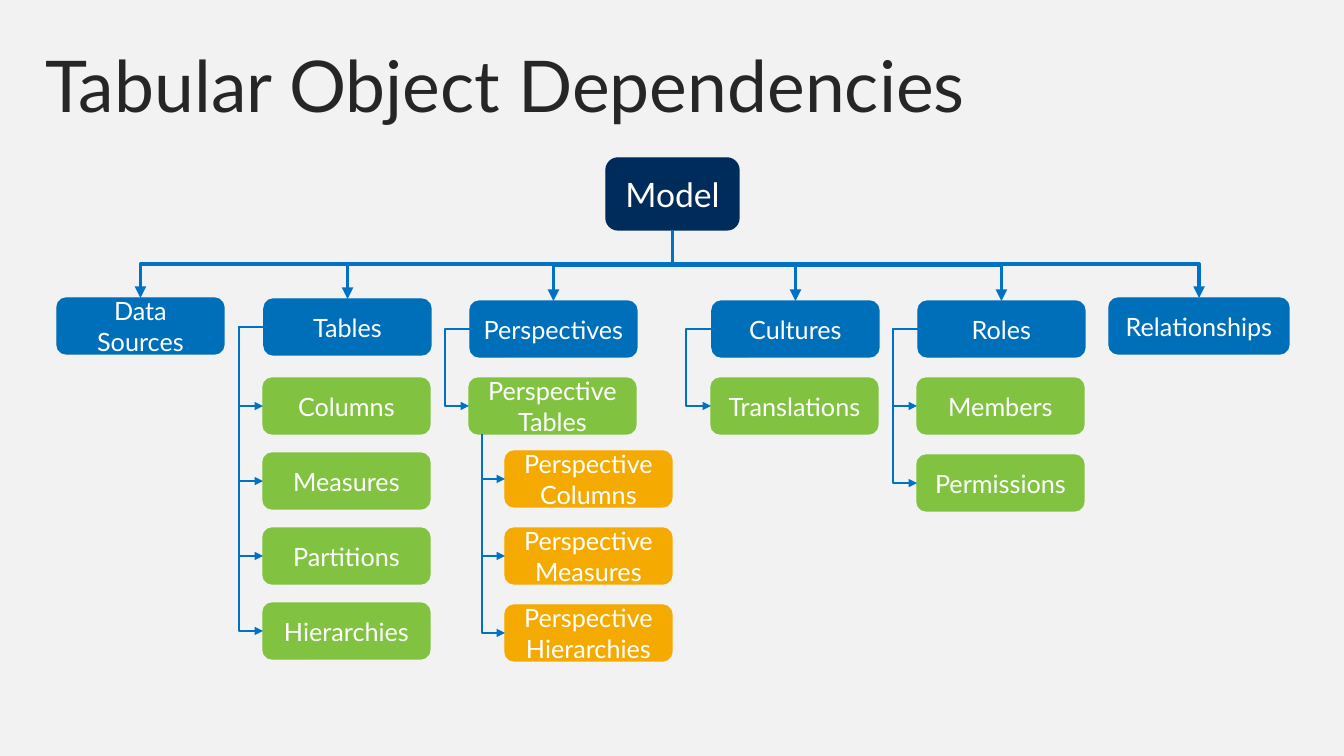
import pptx
import pptx.dml.color
import pptx.enum.shapes
import pptx.enum.text
import pptx.oxml
import pptx.oxml.ns
import pptx.util

SLIDE_WIDTH, SLIDE_HEIGHT = 1344, 756
SCALE = 12192000 / SLIDE_WIDTH
BOX_WIDTH, BOX_HEIGHT = 167, 56
NAVY, BLUE, GREEN, AMBER = "002C5C", "006FBA", "81C341", "F4AA00"
TOP, LEFT, BOTTOM = 0, 1, 2


def px(length):
    return pptx.util.Emu(round(length * SCALE))


def colour(value):
    return pptx.dml.color.RGBColor.from_string(value)


def apply(target, formats):
    for name, value in formats.items():
        setattr(target, name, value)


class Diagram:
    """Holds the shared style and the slide being drawn."""

    font = "Lato"
    arrow_colour = "0072C6"

    def __init__(self, slide):
        self.slide = slide

    def background(self, fill):
        self.slide.background.fill.solid()
        self.slide.background.fill.fore_color.rgb = colour(fill)

    def label(self, frame, text, size, text_colour, align):
        paragraph = frame.paragraphs[0]
        paragraph.alignment = align
        run = paragraph.add_run()
        run.text = text
        apply(run.font, {"name": self.font, "size": pptx.util.Pt(size)})
        run.font.color.rgb = colour(text_colour)

    def title(self, text, left, top, width, height):
        frame = self.slide.shapes.add_textbox(*map(px, (left, top, width, height))).text_frame
        apply(frame, {
            "word_wrap": True,
            "margin_left": px(16), "margin_right": px(16),
            "margin_top": px(10), "margin_bottom": px(10),
        })
        self.label(frame, text, 51, "262626", pptx.enum.text.PP_ALIGN.LEFT)

    def box(self, text, left, top, fill, width=BOX_WIDTH, height=BOX_HEIGHT, size=18):
        node = self.slide.shapes.add_shape(
            pptx.enum.shapes.MSO_SHAPE.ROUNDED_RECTANGLE, *map(px, (left, top, width, height)))
        node.shadow.inherit = False
        node.fill.solid()
        node.fill.fore_color.rgb = colour(fill)
        node.line.color.rgb = colour(fill)
        node.line.width = pptx.util.Pt(1)
        apply(node.text_frame, {
            "word_wrap": True, "vertical_anchor": pptx.enum.text.MSO_ANCHOR.MIDDLE})
        self.label(node.text_frame, text, size, "FFFFFF", pptx.enum.text.PP_ALIGN.CENTER)
        return node

    def elbow(self, start, end, weight, links, turn, preset="bentConnector3", bend=None):
        """Draw a bent arrow; links are (begin, end) pairs of node and side,
        turn holds the rotation and flips, bend the position of its middle leg."""
        arrow = self.slide.shapes.add_connector(
            pptx.enum.shapes.MSO_CONNECTOR.ELBOW, *map(px, (*start, *end)))
        for connect, link in zip((arrow.begin_connect, arrow.end_connect), links):
            if link:
                connect(*link)
        arrow.line.color.rgb = colour(self.arrow_colour)
        arrow.line.width = pptx.util.Pt(weight)

        (x0, y0), (x1, y1) = start, end
        width, height = abs(x1 - x0), abs(y1 - y0)
        if turn["rot"] in (90, 270):
            width, height = height, width
        apply(arrow, {
            "left": px((x0 + x1 - width) / 2), "top": px((y0 + y1 - height) / 2),
            "width": px(width), "height": px(height),
        })

        qn = pptx.oxml.ns.qn
        properties = arrow._element.spPr
        frame = properties.find(qn("a:xfrm"))
        for flip in ("flipH", "flipV"):
            frame.set(flip, str(int(turn.get(flip, False))))
        frame.set("rot", str(turn["rot"] * 60000))
        geometry = properties.find(qn("a:prstGeom"))
        geometry.set("prst", preset)
        if bend is not None:
            guides = geometry.get_or_add_avLst()
            guide = guides.makeelement(
                qn("a:gd"), {"name": "adj1", "fmla": f"val {round(bend * 100000)}"})
            guides.append(guide)
        line = properties.find(qn("a:ln"))
        line.append(line.makeelement(qn("a:tailEnd"), {"type": "triangle"}))
        properties.append(properties.makeelement(qn("a:effectLst"), {}))

    def drop_arrow(self, parent, child, start, end):
        """Run down from a parent, across, and down into a child."""
        turn = {"rot": 90} if end[0] < start[0] else {"rot": 270, "flipH": True}
        self.elbow(start, end, 2.75, ((parent, BOTTOM), (child, TOP)), turn, bend=0.5)

    def side_arrow(self, parent, child, start, end, reach):
        """Leave a parent on the left and come back into a child on its left."""
        self.elbow(start, end, 1.5, ((parent, LEFT), (child, LEFT)),
                   {"rot": 180, "flipV": True}, bend=reach / (start[0] - end[0]))

    def corner_arrow(self, child, start, end):
        """Run down, then right into a child."""
        self.elbow(start, end, 1.5, (None, (child, LEFT)),
                   {"rot": 270, "flipH": True}, preset="bentConnector2")


# Name, left, top, width, reach of the side arrows, row step, children
BRANCHES = [
    ("Data Sources", 57, 298, BOX_WIDTH, 0, 0, []),
    ("Tables", 264, 299, BOX_WIDTH, 25, 75,
     ["Columns", "Measures", "Partitions", "Hierarchies"]),
    ("Perspectives", 470, 301, BOX_WIDTH, 25, 0, ["Perspective Tables"]),
    ("Cultures", 712, 301, BOX_WIDTH, 26, 0, ["Translations"]),
    ("Roles", 918, 301, BOX_WIDTH, 25, 77, ["Members", "Permissions"]),
    ("Relationships", 1109, 298, 180, 0, 0, []),
]
CHILD_TOP = 378
PERSPECTIVE_PARTS = ["Perspective Columns", "Perspective Measures", "Perspective Hierarchies"]
PARTS_LEFT, PARTS_TOP, PARTS_STEP = 505, 451, 77
PARTS_TRUNK = (482, CHILD_TOP + BOX_HEIGHT)


def main():
    deck = pptx.Presentation()
    deck.slide_width, deck.slide_height = px(SLIDE_WIDTH), px(SLIDE_HEIGHT)
    diagram = Diagram(deck.slides.add_slide(deck.slide_layouts[6]))
    diagram.background("F2F2F2")
    diagram.title("Tabular Object Dependencies", 29, 31, 1284, 102)

    model = diagram.box("Model", 606, 158, NAVY, width=133, height=72, size=24)
    model_foot = (672.5, 230)
    for name, left, top, width, reach, step, children in BRANCHES:
        branch = diagram.box(name, left, top, BLUE, width=width)
        diagram.drop_arrow(model, branch, model_foot, (left + width / 2, top))
        branch_side = (left, top + BOX_HEIGHT / 2)
        for row, child_name in enumerate(children):
            child_left, child_top = left - 1, CHILD_TOP + row * step
            child = diagram.box(child_name, child_left, child_top, GREEN)
            child_side = (child_left, child_top + BOX_HEIGHT / 2)
            diagram.side_arrow(branch, child, branch_side, child_side, reach)

    for row, part_name in enumerate(PERSPECTIVE_PARTS):
        part_top = PARTS_TOP + row * PARTS_STEP
        part = diagram.box(part_name, PARTS_LEFT, part_top, AMBER)
        diagram.corner_arrow(part, PARTS_TRUNK, (PARTS_LEFT, part_top + BOX_HEIGHT / 2))

    deck.save("out.pptx")


if __name__ == "__main__":
    main()
